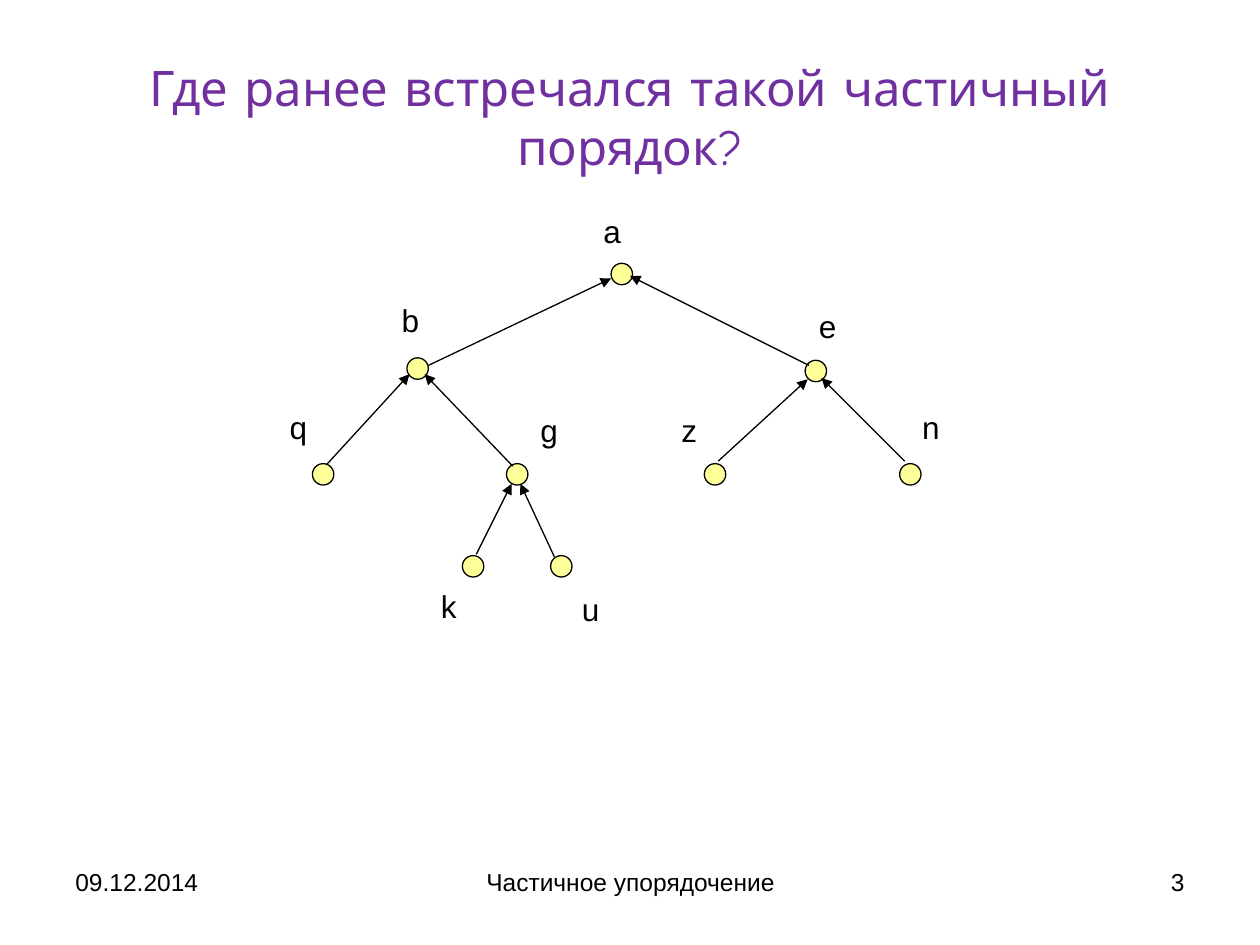
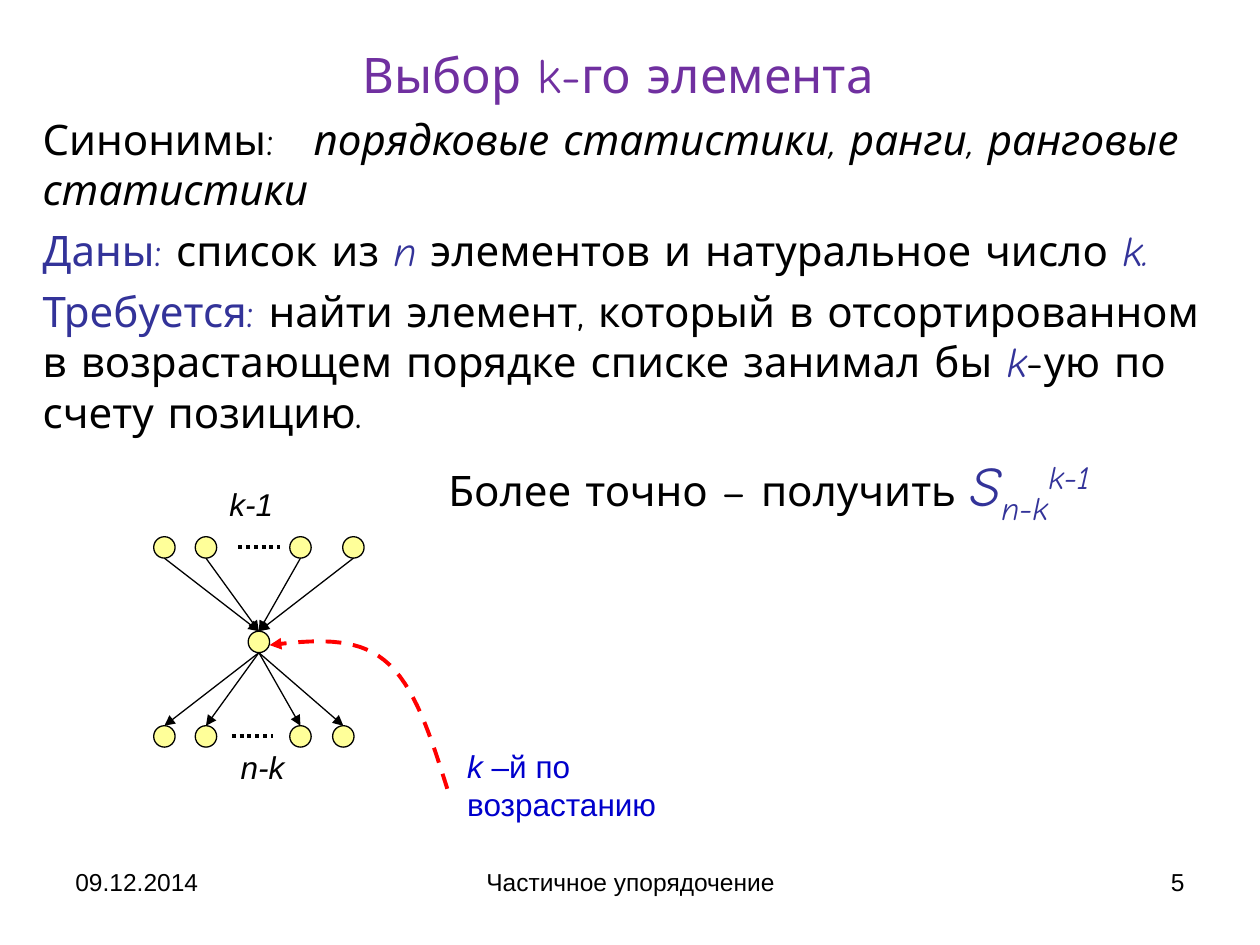
import dataclasses
import typing

import lxml.etree
import pptx
import pptx.dml.color
import pptx.enum.dml
import pptx.enum.shapes
import pptx.enum.text
import pptx.oxml.ns
import pptx.util

Point = tuple[float, float]
Box = tuple[float, float, float, float]
ALIGN = pptx.enum.text.PP_ALIGN
DASH = pptx.enum.dml.MSO_LINE
COLS, ROWS = 100, 75
WIDTH, HEIGHT = pptx.util.Inches(10), pptx.util.Inches(7.5)
DOT = 1.7


@dataclasses.dataclass(frozen=True)
class Theme:
    title: str = "7030A0"
    ink: str = "000000"
    term: str = "333399"
    note: str = "0000CC"
    dot: str = "FFFF99"
    curve: str = "FF0000"
    sans: str = "Arial"
    comic: str = "Comic Neue"
    foot: float = 14
    label: float = 18
    body: float = 24
    head: float = 28
    sign: float = 32
    space: float = 40
    thin: float = 0.75
    thick: float = 2.25


THEME = Theme()


class Run(typing.NamedTuple):
    text: str
    tone: str = THEME.ink
    size: float = THEME.label
    font: str = THEME.sans
    slant: bool = False
    shift: int = 0


class Para(typing.NamedTuple):
    runs: list[Run]
    gap: float = 0
    tab: float = 0
    align: ALIGN = ALIGN.LEFT


class Node(typing.NamedTuple):
    name: str
    dot: Point
    label: Point
    start: Point | None = None
    end: Point | None = None


def across(col: float) -> int:
    return round(col * WIDTH / COLS)


def down(row: float) -> int:
    return round(row * HEIGHT / ROWS)


def frame(box: Box) -> tuple[int, int, int, int]:
    left, top, width, height = box
    return across(left), down(top), across(width), down(height)


def paint(code: str) -> pptx.dml.color.RGBColor:
    return pptx.dml.color.RGBColor.from_string(code)


def apply(target, values: dict) -> None:
    for key, value in values.items():
        setattr(target, key, value)


def child(parent, tag: str, **values: str):
    return lxml.etree.SubElement(parent, pptx.oxml.ns.qn(tag), values)


def write(text, paras: list[Para]) -> None:
    for count, para in enumerate(paras):
        line = text.add_paragraph() if count else text.paragraphs[0]
        apply(line, {"alignment": para.align,
                     "space_before": pptx.util.Pt(para.gap)})
        if para.tab:
            stops = child(line._p.get_or_add_pPr(), "a:tabLst")
            child(stops, "a:tab", pos=str(across(para.tab)), algn="l")
        for item in para.runs:
            run = line.add_run()
            run.text = item.text
            apply(run.font, {"name": item.font, "italic": item.slant,
                             "size": pptx.util.Pt(item.size)})
            run.font.color.rgb = paint(item.tone)
            if item.shift:
                run._r.get_or_add_rPr().set("baseline", str(item.shift * 1000))


def add_text(slide, box: Box, paras: list[Para], inset: Point = (1, 0.5)) -> None:
    text = slide.shapes.add_textbox(*frame(box)).text_frame
    side, edge = across(inset[0]), down(inset[1])
    apply(text, {"word_wrap": True, "margin_left": side, "margin_right": side,
                 "margin_top": edge, "margin_bottom": edge})
    write(text, paras)


def stroke(shape, tone: str = THEME.ink, width: float = THEME.thin,
           dash: DASH | None = None, arrow: bool = False) -> None:
    shape.line.color.rgb = paint(tone)
    apply(shape.line, {"width": pptx.util.Pt(width), "dash_style": dash})
    if arrow:
        line = shape._element.spPr.find(pptx.oxml.ns.qn("a:ln"))
        child(line, "a:tailEnd", type="triangle")


def add_line(slide, start: Point, end: Point, **style) -> None:
    wire = slide.shapes.add_connector(
        pptx.enum.shapes.MSO_CONNECTOR.STRAIGHT,
        across(start[0]), down(start[1]), across(end[0]), down(end[1]))
    stroke(wire, **style)
    child(wire._element.spPr, "a:effectLst")


def add_dot(slide, spot: Point) -> None:
    dot = slide.shapes.add_shape(
        pptx.enum.shapes.MSO_SHAPE.OVAL, *frame((*spot, DOT, DOT)))
    dot.shadow.inherit = False
    dot.fill.solid()
    dot.fill.fore_color.rgb = paint(THEME.dot)
    stroke(dot)


def bezier(knots: list[Point], steps: int = 16) -> list[Point]:
    points = []
    for step in range(1, steps + 1):
        t = step / steps
        parts = ((1 - t) ** 3, 3 * t * (1 - t) ** 2, 3 * t * t * (1 - t), t ** 3)
        points.append(tuple(sum(part * knot[axis] for part, knot in zip(parts, knots))
                            for axis in (0, 1)))
    return points


def add_curve(slide, knots: list[Point]) -> None:
    points = [point for first in range(0, len(knots) - 1, 3)
              for point in bezier(knots[first:first + 4])]
    pen = slide.shapes.build_freeform(across(knots[0][0]), down(knots[0][1]))
    pen.add_line_segments([(across(x), down(y)) for x, y in points], close=False)
    curve = pen.convert_to_shape()
    curve.shadow.inherit = False
    curve.fill.background()
    stroke(curve, THEME.curve, THEME.thick, DASH.DASH, True)


def add_slide(deck, box: Box, title: list[Run], page: int):
    slide = deck.slides.add_slide(deck.slide_layouts[5])
    left, top, width, height = frame(box)
    head = slide.shapes.title
    apply(head, {"left": left, "top": top, "width": width, "height": height})
    apply(head.text_frame, {
        "word_wrap": True, "auto_size": pptx.enum.text.MSO_AUTO_SIZE.NONE,
        "vertical_anchor": pptx.enum.text.MSO_ANCHOR.MIDDLE})
    write(head.text_frame, [Para(title, align=ALIGN.CENTER)])
    for col, span, words, align in (
            (5, 23.3, "09.12.2014", ALIGN.LEFT),
            (34.2, 31.7, "Частичное упорядочение", ALIGN.CENTER),
            (71.7, 23.3, str(page), ALIGN.RIGHT)):
        add_text(slide, (col, 68.3, span, 5.2),
                 [Para([Run(words, size=THEME.foot)], align=align)])
    return slide


def heading(words: str, size: float = THEME.head) -> Run:
    return Run(words, THEME.title, size, THEME.comic)


def plain(words: str, slant: bool = False) -> Run:
    return Run(words, THEME.ink, THEME.body, THEME.comic, slant)


def term(words: str, slant: bool = True, size: float = THEME.body,
         shift: int = 0) -> Run:
    return Run(words, THEME.term, size, THEME.comic, slant, shift)


TREE = [
    Node("a", (48.5, 20.9), (46.9, 16.3)),
    Node("b", (32.3, 28.4), (30.9, 23.4), (34, 29), (48.5, 22.1)),
    Node("e", (63.9, 28.6), (64, 23.9), (64.2, 29), (50, 21.9)),
    Node("q", (24.8, 36.8), (22, 31.9), (25.9, 36.9), (32.5, 29.7)),
    Node("g", (40.2, 36.8), (41.9, 32.1), (40.7, 37), (33.7, 29.7)),
    Node("z", (55.9, 36.8), (53.1, 32.1), (57, 36.6), (64.1, 30.1)),
    Node("n", (71.4, 36.8), (72.2, 31.9), (71.8, 36.6), (65.2, 30)),
    Node("k", (36.7, 44.1), (34, 46.1), (37.8, 44), (40.6, 38.4)),
    Node("u", (43.7, 44.1), (45.2, 46.3), (44, 44.2), (41.3, 38.4)),
]

TASK = [
    Para([plain("Синонимы: \t"),
          plain("порядковые статистики, ранги, ранговые статистики", True)], 6, 21.5),
    Para([term("Даны: ", False), plain("список из "), term("n "),
          plain("элементов и натуральное число "), term("k.")], 6),
    Para([term("Требуется: ", False),
          plain("найти элемент, который в отсортированном в возрастающем "
                "порядке списке занимал бы "),
          term("k"), plain("-ую по счету позицию.")], 6),
    Para([plain("\tБолее точно – получить "), term("S", size=THEME.sign),
          term("n-k", size=THEME.sign, shift=-25),
          term("k-1", size=THEME.sign, shift=30)], 8, 32.2),
]


def draw_tree(deck) -> None:
    slide = add_slide(deck, (5, 3, 90, 12.5),
                      [heading("Где ранее встречался такой частичный порядок?")], 3)
    for node in TREE:
        add_dot(slide, node.dot)
        add_text(slide, (*node.label, 3.4, 4), [Para([Run(node.name)])])
    for node in TREE:
        if node.start and node.end:
            add_line(slide, node.start, node.end, arrow=True)


def draw_task(deck) -> None:
    slide = add_slide(deck, (5, 3, 90, 4.4),
                      [heading("Выбор k-го элемента"), heading(" ", THEME.space)], 5)
    add_text(slide, (2.4, 8.5, 94.5, 33), TASK)
    hub, pitch, half = (19.7, 50.1), 7.5, DOT / 2
    above, below = hub[1] - pitch, hub[1] + pitch
    middle = hub[0] + half
    add_dot(slide, hub)
    for col in (12.2, 15.5, 23, 27.2):
        add_dot(slide, (col, above))
        add_line(slide, (col + half, above + DOT), (middle, hub[1]), arrow=True)
    for col in (12.2, 15.5, 23, 26.4):
        add_dot(slide, (col, below))
        add_line(slide, (middle, hub[1] + DOT), (col + half, below), arrow=True)
    for col, row in ((18.9, above + half), (18.4, below + half)):
        add_line(slide, (col, row), (col + 3.3, row),
                 width=THEME.thick, dash=DASH.ROUND_DOT)
    for name, col, row in (("k-1", 18, 38.4), ("n-k", 18.9, 59.3)):
        add_text(slide, (col, row, 4.2, 3.2),
                 [Para([Run(name, slant=True)])], (0.2, 0.1))
    add_curve(slide, [(35.5, 62.6), (34.2, 58.5), (32.9, 54.3), (30.5, 52.4),
                      (28.2, 50.5), (24.8, 50.8), (21.4, 51.2)])
    add_text(slide, (36.1, 58.8, 18.4, 7),
             [Para([Run("k", THEME.note, slant=True),
                    Run(" –й по возрастанию", THEME.note)])])


def main() -> None:
    deck = pptx.Presentation()
    apply(deck, {"slide_width": WIDTH, "slide_height": HEIGHT})
    draw_tree(deck)
    draw_task(deck)
    deck.save("out.pptx")


if __name__ == "__main__":
    main()
